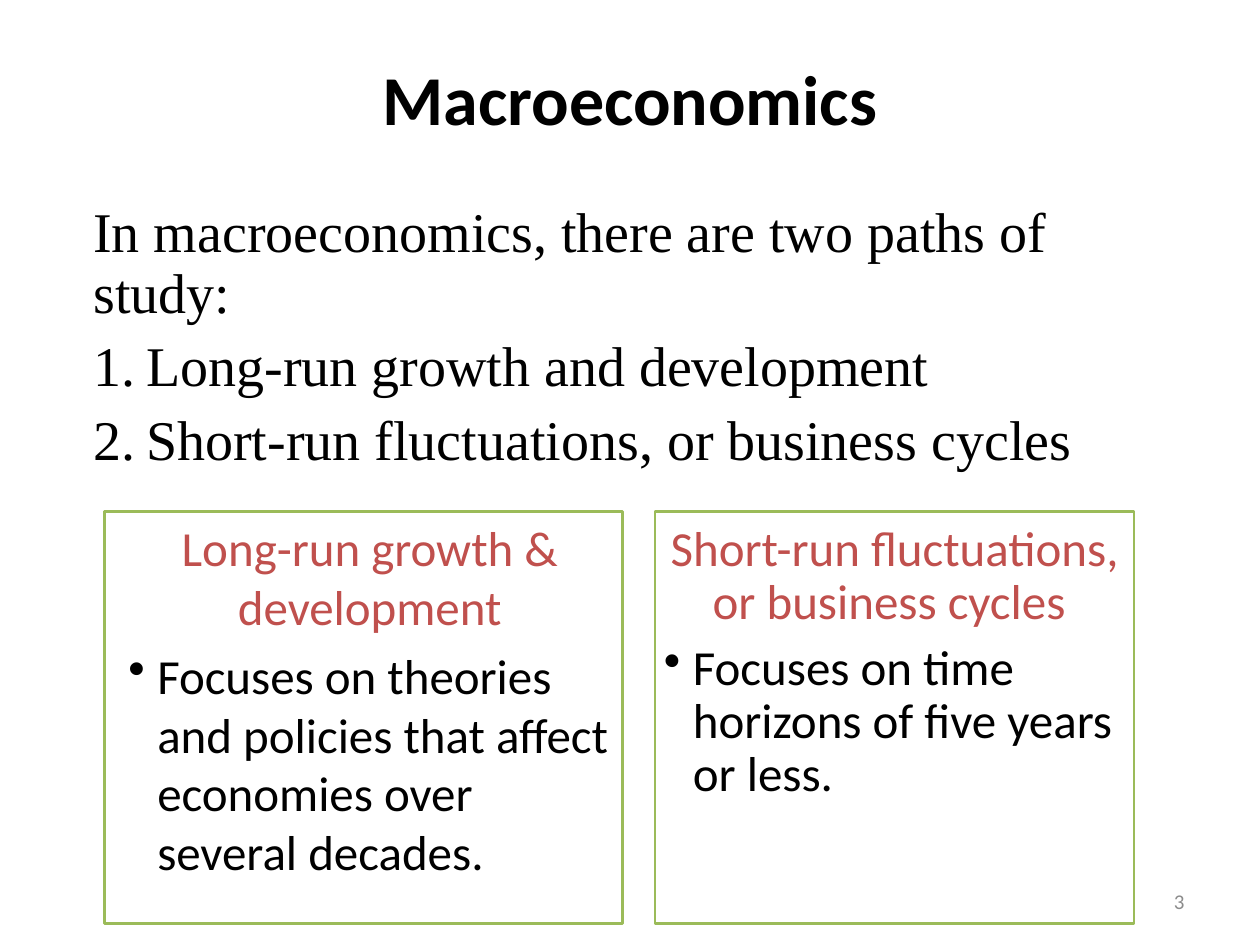
"""Build the Macroeconomics slide on its two paths of study."""
from lxml import etree
from pptx import Presentation
from pptx import util as u
from pptx.dml.color import RGBColor
from pptx.enum import shapes, text
from pptx.oxml.ns import qn

BLACK, RED, GREEN, GRAY = "000000", "C0504D", "9BBB59", "8C8C8C"
CENTER, RIGHT = text.PP_ALIGN.CENTER, text.PP_ALIGN.RIGHT
NUMBER = ("a:buAutoNum", {"type": "arabicPeriod"})
BULLET = ("a:buChar", {"char": "•"})
SLIM = (0.07, 0.04)
NORMAL = (0.1, 0.05)

TITLE = "Macroeconomics"
INTRO = "In macroeconomics, there are two paths of study:"
PATHS = ["Long-run growth and development", "Short-run fluctuations, or business cycles"]
PAGE = "3"
PANELS = [
    {"heading": "Long-run growth & development",
     "focus": "Focuses on theories and policies that affect economies over several decades.",
     "frame": (0.83, 4.06, 4.11, 3.27), "body": (0.92, 4.06, 4.03, 3.19),
     "insets": NORMAL, "spacing": {"before": 5.6}},
    {"heading": "Short-run fluctuations, or business cycles ",
     "focus": "Focuses on time horizons of five years or less.",
     "frame": (5.2, 4.06, 3.8, 3.27), "body": (5.2, 4.12, 3.8, 3.13),
     "insets": SLIM, "spacing": {"before": 7.5, "line": 0.9}},
]


def rgb(color):
    return RGBColor.from_string(color)


def inches(box):
    return [u.Inches(length) for length in box]


def style(paragraph, size, color=BLACK, face="Calibri", align=None, bold=None,
          before=None, line=None, marker=None, indent=0):
    if align is not None:
        paragraph.alignment = align
    if before is not None:
        paragraph.space_before = u.Pt(before)
    if line is not None:
        paragraph.line_spacing = line
    if marker:
        properties = paragraph._p.get_or_add_pPr()
        properties.set("marL", str(u.Inches(indent)))
        properties.set("indent", str(-u.Inches(indent)))
        tag, attributes = marker
        etree.SubElement(properties, qn(tag), attributes)
    font = paragraph.font
    font.size, font.name, font.bold = u.Pt(size), face, bold
    font.color.rgb = rgb(color)


def add_text(slide, box, paragraphs, insets=NORMAL, anchor=text.MSO_ANCHOR.TOP):
    frame = slide.shapes.add_textbox(*inches(box)).text_frame
    frame.word_wrap = True
    frame.vertical_anchor = anchor
    frame.margin_left = frame.margin_right = u.Inches(insets[0])
    frame.margin_top = frame.margin_bottom = u.Inches(insets[1])
    for index, (words, look) in enumerate(paragraphs):
        paragraph = frame.add_paragraph() if index else frame.paragraphs[0]
        paragraph.text = words
        style(paragraph, **look)


def add_panel(slide, panel):
    outline = slide.shapes.add_shape(shapes.MSO_SHAPE.RECTANGLE, *inches(panel["frame"]))
    outline.shadow.inherit = False
    outline.fill.background()
    outline.line.color.rgb = rgb(GREEN)
    outline.line.width = u.Pt(1.5)
    look = {"size": 28, **panel["spacing"]}
    add_text(slide, panel["body"], [
        (panel["heading"], {**look, "color": RED, "align": CENTER}),
        (panel["focus"], {**look, "marker": BULLET, "indent": 0.23}),
    ], panel["insets"])


def main():
    deck = Presentation()
    deck.slide_width, deck.slide_height = u.Inches(10), u.Inches(7.5)
    slide = deck.slides.add_slide(deck.slide_layouts[5])

    title = slide.shapes.title
    title.left, title.top, title.width, title.height = inches((0.5, 0.3, 9, 0.95))
    title.text_frame.text = TITLE
    title.text_frame.vertical_anchor = text.MSO_ANCHOR.MIDDLE
    style(title.text_frame.paragraphs[0], 40, align=CENTER, bold=True)

    serif = {"size": 32, "face": "Times New Roman", "before": 7.5, "line": 0.9}
    numbered = {**serif, "marker": NUMBER, "indent": 0.42}
    add_text(slide, (0.67, 1.58, 8.42, 2.25),
             [(INTRO, serif)] + [(path, numbered) for path in PATHS], SLIM)

    for panel in PANELS:
        add_panel(slide, panel)

    add_text(slide, (7.17, 6.95, 2.33, 0.4),
             [(PAGE, {"size": 12, "color": GRAY, "align": RIGHT})],
             anchor=text.MSO_ANCHOR.MIDDLE)
    deck.save("out.pptx")


if __name__ == "__main__":
    main()
